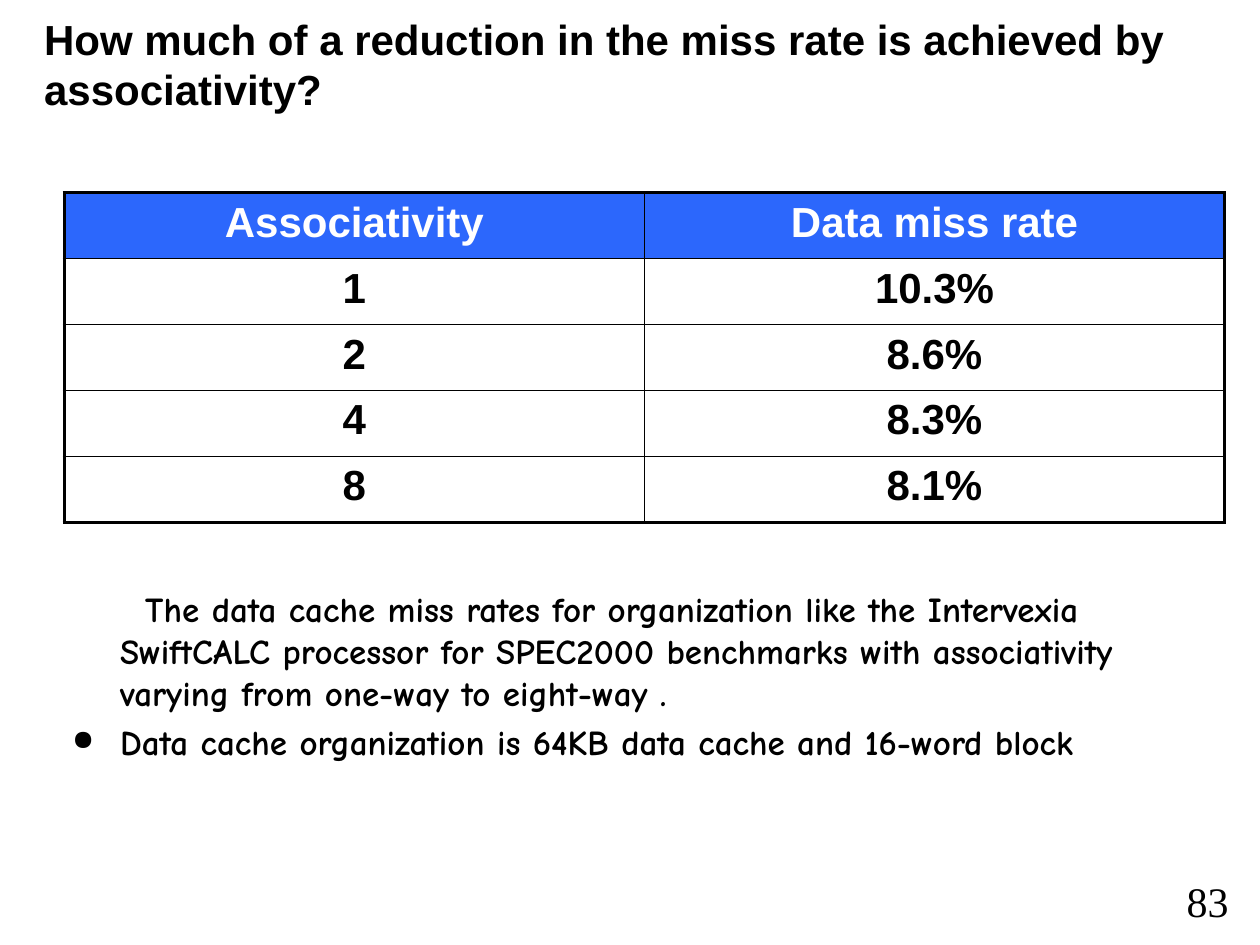
from lxml import etree
from pptx import Presentation
from pptx.dml.color import RGBColor
from pptx.enum.shapes import MSO_SHAPE
from pptx.enum.text import MSO_ANCHOR, PP_ALIGN
from pptx.oxml.ns import qn
from pptx.util import Inches, Pt

ROUNDED = MSO_SHAPE.ROUNDED_RECTANGLE
TOP, MIDDLE = MSO_ANCHOR.TOP, MSO_ANCHOR.MIDDLE
LEFT, CENTER = PP_ALIGN.LEFT, PP_ALIGN.CENTER

BLACK = RGBColor(0x00, 0x00, 0x00)
WHITE = RGBColor(0xFF, 0xFF, 0xFF)
BLUE = RGBColor(0x2C, 0x67, 0xFC)

OUTER_LINE, INNER_LINE = Pt(2.25), Pt(1)

MISS_RATES = [
    ("Associativity", "Data miss rate"),
    ("1", "10.3%"),
    ("2", "8.6%"),
    ("4", "8.3%"),
    ("8", "8.1%"),
]
# Each remark: text, first-line indent in inches, has a bullet
REMARKS = [
    ("The data cache miss rates for organization like the Intervexia "
     "SwiftCALC processor for SPEC2000 benchmarks with associativity "
     "varying from one-way to eight-way .", 0.2, False),
    ("Data cache organization is 64KB data cache and 16-word block",
     -0.38, True),
]


class SlideBuilder:
    """Holds the text style and the slide being built."""

    heading_font = "Arial"
    body_font = "Comic Neue"
    number_font = "Times New Roman"

    def __init__(self, slide):
        self.slide = slide

    def format_text(self, paragraph, font, size, color=BLACK, bold=True, align=LEFT):
        paragraph.alignment = align
        for span in paragraph.runs:
            span.font.name = font
            span.font.size = Pt(size)
            span.font.bold = bold
            span.font.color.rgb = color

    def title(self, text, left, top, width, height):
        box = self.slide.shapes.title
        box.left, box.top, box.width, box.height = left, top, width, height
        box.text_frame.text = text
        box.text_frame.vertical_anchor = MIDDLE
        self.format_text(box.text_frame.paragraphs[0], self.heading_font, 24)

    def cell_borders(self, cell, widths):
        properties = cell._tc.get_or_add_tcPr()
        for position, (side, width) in enumerate(widths.items()):
            line = etree.Element(qn(f"a:ln{side}"), w=str(width))
            fill = etree.SubElement(line, qn("a:solidFill"))
            etree.SubElement(fill, qn("a:srgbClr"), val=str(BLACK))
            properties.insert(position, line)

    def table(self, rows, left, top, width, height):
        last_row, last_column = len(rows) - 1, len(rows[0]) - 1
        table = self.slide.shapes.add_table(
            len(rows), len(rows[0]), left, top, width, height).table
        table.first_row = table.horz_banding = False
        for row, values in enumerate(rows):
            for column, value in enumerate(values):
                cell = table.cell(row, column)
                cell.text_frame.text = value
                cell.fill.solid()
                cell.fill.fore_color.rgb = BLUE if row == 0 else WHITE
                self.format_text(cell.text_frame.paragraphs[0], self.heading_font,
                                 24, WHITE if row == 0 else BLACK, align=CENTER)
                on_edge = {"L": column == 0, "R": column == last_column,
                           "T": row == 0, "B": row == last_row}
                self.cell_borders(cell, {
                    side: OUTER_LINE if edge else INNER_LINE
                    for side, edge in on_edge.items()})

    def bullet(self, paragraph):
        properties = paragraph._p.get_or_add_pPr()
        etree.SubElement(properties, qn("a:buSzPct"), val="80000")
        etree.SubElement(properties, qn("a:buChar"), char="●")

    def remarks(self, remarks, left, top, width, height):
        box = self.slide.shapes.add_shape(ROUNDED, left, top, width, height)
        box.adjustments[0] = 0.125
        box.shadow.inherit = False
        box.fill.background()
        box.line.fill.background()
        frame = box.text_frame
        frame.word_wrap = True
        frame.vertical_anchor = TOP
        frame.text = "\n".join(text for text, _, _ in remarks)
        for number, (paragraph, remark) in enumerate(zip(frame.paragraphs, remarks)):
            _, indent, has_bullet = remark
            properties = paragraph._p.get_or_add_pPr()
            properties.set("marL", str(Inches(0.38)))
            properties.set("indent", str(Inches(indent)))
            if has_bullet:
                self.bullet(paragraph)
            if number:
                paragraph.space_before = Pt(4)
            self.format_text(paragraph, self.body_font, 20)

    def page_number(self, text, left, top, width, height):
        box = self.slide.shapes.add_textbox(left, top, width, height)
        box.text_frame.word_wrap = False
        box.text_frame.text = text
        self.format_text(box.text_frame.paragraphs[0], self.number_font, 24, bold=False)


def main():
    deck = Presentation()
    deck.slide_width, deck.slide_height = Inches(10), Inches(7.5)
    page = SlideBuilder(deck.slides.add_slide(deck.slide_layouts[5]))

    # Heading
    page.title("How much of a reduction in the miss rate is achieved by associativity?",
               Inches(0.25), Inches(0.17), Inches(9.4), Inches(0.67))
    # Miss rate for each associativity
    page.table(MISS_RATES, Inches(0.51), Inches(1.53), Inches(9.21), Inches(2.62))
    # Remarks on the measurement
    page.remarks(REMARKS, Inches(0.4), Inches(4.54), Inches(9.4), Inches(2.05))
    # Page number
    page.page_number("83", Inches(9.32), Inches(6.9), Inches(0.59), Inches(0.5))

    deck.save("out.pptx")


if __name__ == "__main__":
    main()
